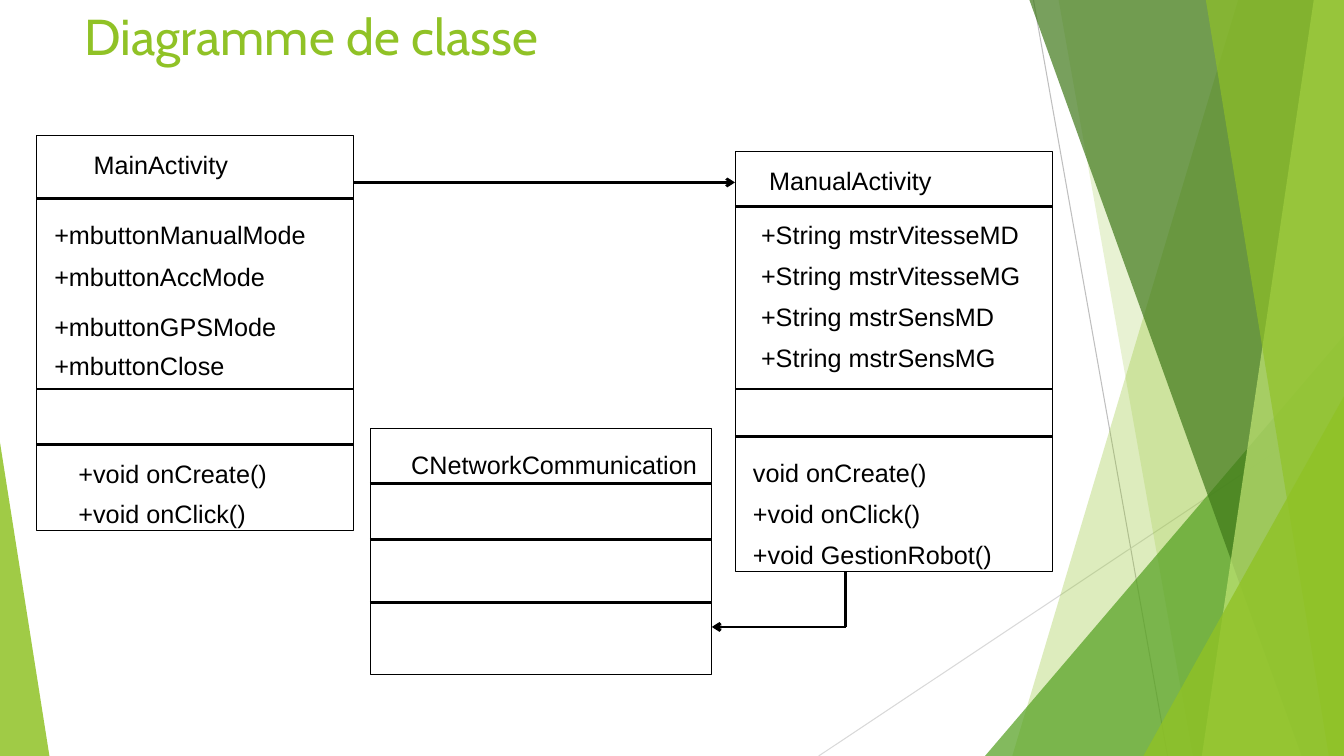
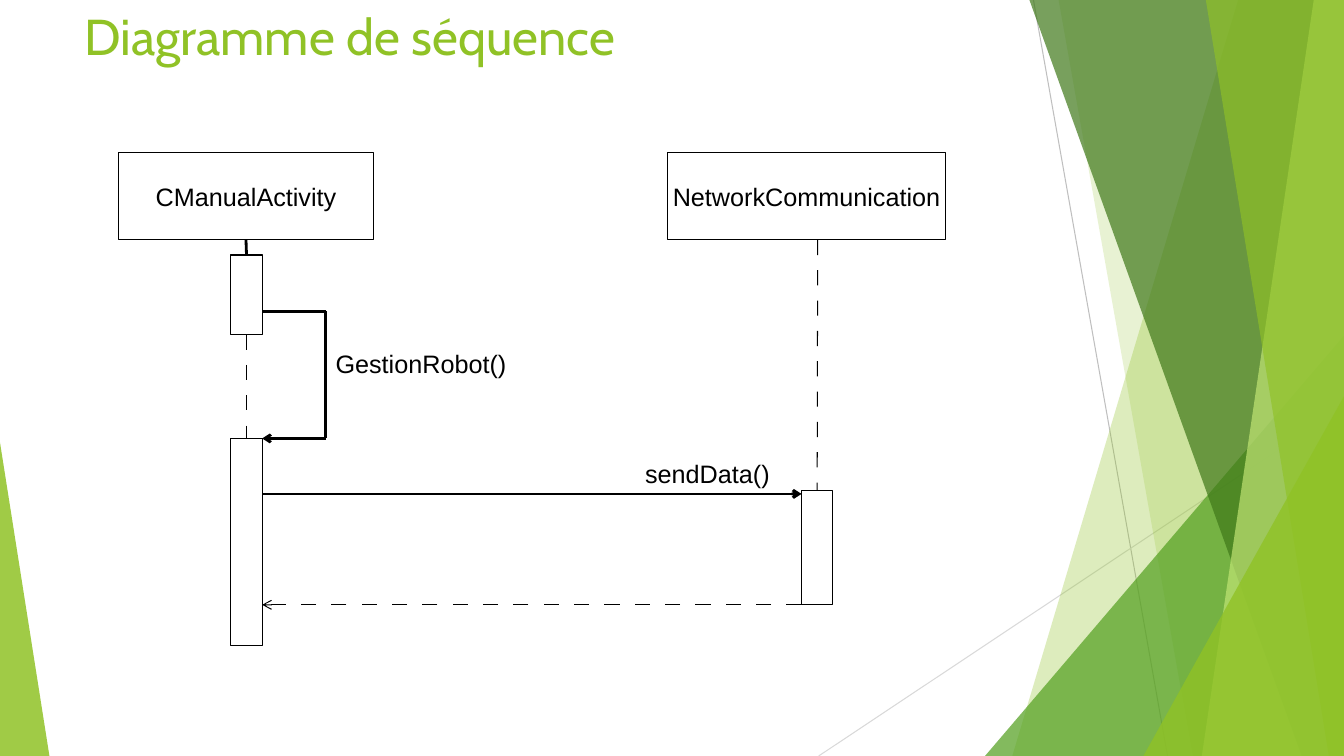
from lxml.etree import SubElement
from pptx import Presentation
from pptx.dml.color import RGBColor
from pptx.enum.shapes import MSO_CONNECTOR as Link, MSO_SHAPE as Shape
from pptx.enum.text import MSO_ANCHOR as Anchor, PP_ALIGN as Align
from pptx.oxml.ns import qn
from pptx.util import Inches, Pt

WIDTH, HEIGHT = 13.33, 7.5
GREEN, BLACK, WHITE = "90C226", "000000", "FFFFFF"
BAR_WIDTH = 0.31

RAYS = [((10.25, 0), (11.58, HEIGHT), "BFBFBF"),
        ((WIDTH, 4.03), (8.12, HEIGHT), "D9D9D9")]
FACETS = [("band", (12.28, 10.04), GREEN, 30),
          ("band", (10.5, 11.83), GREEN, 20),
          ("triangle", (9.77, 3.33, 3.56, 4.17, 1), "54A021", 72),
          ("band", (10.21, 12.91), "3F7819", 70),
          ("band", (13.03, 11.92), "C0E474", 70),
          ("band", (11.96, 13.18), GREEN, 65),
          ("triangle", (11.34, 3.93, 1.99, 3.57, 1), GREEN, 80),
          ("triangle", (0, 4.39, 0.49, 3.11, 0), GREEN, 85)]


def color(value):
    """Turn a hex string into a colour."""
    return RGBColor.from_string(value)


def add_text(page, box, lines, gaps=(), size=18, font="Arial", ink=BLACK):
    """Write lines in a box, with a gap in points before each later line."""
    frame = page.shapes.add_textbox(*map(Inches, box)).text_frame
    frame.word_wrap = True
    frame.text = "\n".join(lines)
    for para, gap in zip(frame.paragraphs, (None, *gaps)):
        if gap:
            para.space_before = Pt(gap)
        style(para, size, font, ink)


def style(para, size=18, font="Arial", ink=BLACK):
    """Format the runs of a paragraph."""
    for span in para.runs:
        span.font.size, span.font.name = Pt(size), font
        span.font.color.rgb = color(ink)


def add_line(page, start, end, ink=BLACK, width=0, dashed=False, arrow=False):
    """Draw a straight line, dashed or ending in an arrow if asked."""
    line = page.shapes.add_connector(Link.STRAIGHT, *map(Inches, (*start, *end)))
    line.line.color.rgb = color(ink)
    line.line.width = Pt(0.75 if dashed else width)
    outline = line.line.fill and line.element.spPr.find(qn("a:ln"))
    if dashed:
        dashes = SubElement(outline, qn("a:custDash"))
        SubElement(dashes, qn("a:ds"), d="1470000", sp="1470000")
    if arrow:
        SubElement(outline, qn("a:tailEnd"), type="arrow")
    SubElement(line.element.spPr, qn("a:effectLst"))
    return line


def add_route(page, *points):
    """Draw a bent line through points, with an arrow at its end."""
    last = len(points) - 2
    for index, (start, end) in enumerate(zip(points, points[1:])):
        add_line(page, start, end, arrow=index == last)


def add_rect(page, box, fill=None, label=""):
    """Draw an outlined rectangle with an optional centred label."""
    rect = page.shapes.add_shape(Shape.RECTANGLE, *map(Inches, box))
    rect.shadow.inherit = False
    rect.line.color.rgb = color(BLACK)
    rect.line.width = 0
    if fill:
        rect.fill.solid()
        rect.fill.fore_color.rgb = color(fill)
    else:
        rect.fill.background()
    if label:
        frame = rect.text_frame
        frame.margin_left = frame.margin_right = Inches(0.02)
        frame.vertical_anchor = Anchor.MIDDLE
        frame.text = label
        frame.paragraphs[0].alignment = Align.CENTER
        style(frame.paragraphs[0])
    return rect


def add_facet(page, kind, layout, fill, opacity):
    """Draw one translucent facet of the backdrop."""
    if kind == "band":
        top, bottom = layout
        builder = page.shapes.build_freeform(Inches(top), 0)
        corners = [(WIDTH, 0), (WIDTH, HEIGHT), (bottom, HEIGHT)]
        builder.add_line_segments([tuple(map(Inches, corner)) for corner in corners])
        facet = builder.convert_to_shape()
    else:
        *box, apex = layout
        facet = page.shapes.add_shape(Shape.ISOSCELES_TRIANGLE, *map(Inches, box))
        facet.adjustments[0] = apex
    facet.shadow.inherit = False
    facet.fill.solid()
    facet.fill.fore_color.rgb = color(fill)
    facet.line.fill.background()
    tint = facet.element.spPr.find(qn("a:solidFill")).find(qn("a:srgbClr"))
    SubElement(tint, qn("a:alpha"), val=str(opacity * 1000))


def add_page(deck, title):
    """Add a slide with the shared backdrop and title."""
    page = deck.slides.add_slide(deck.slide_layouts[6])
    for start, end, ink in RAYS:
        add_line(page, start, end, ink, 0.75)
    for facet in FACETS:
        add_facet(page, *facet)
    add_text(page, (0.74, 0, 9.4, 1.44), [title], size=36, font="Cabin", ink=GREEN)
    return page


def add_class(page, box, dividers, texts):
    """Draw a class box; dividers and texts are offset from its corner."""
    left, top, width, _ = box
    add_rect(page, box)
    for offset in dividers:
        add_line(page, (left, top + offset), (left + width, top + offset))
    for across, down, lines, gaps in texts:
        area = (left + across, top + down, width - across + 0.07, 0.39 * len(lines))
        add_text(page, area, lines, gaps)


def class_slide(deck):
    """Build the class diagram."""
    page = add_page(deck, "Diagramme de classe")
    add_class(page, (0.36, 1.34, 3.15, 3.92), (0.63, 2.52, 3.07), [
        (0.47, 0.09, ["MainActivity"], ()),
        (0.08, 0.79, ["+mbuttonManualMode", "+mbuttonAccMode",
                      "+mbuttonGPSMode", "+mbuttonClose"], (8, 14, 6.5)),
        (0.32, 3.16, ["+void onCreate()", "+void onClick()"], (6.5,))])
    add_class(page, (7.29, 1.5, 3.15, 4.17), (0.55, 2.36, 2.83), [
        (0.24, 0.09, ["ManualActivity"], ()),
        (0.16, 0.63, ["+String mstrVitesseMD", "+String mstrVitesseMG",
                      "+String mstrSensMD", "+String mstrSensMG"], (7.6,) * 3),
        (0.08, 2.99, ["void onCreate()", "+void onClick()",
                      "+void GestionRobot()"], (7.6,) * 2)])
    add_class(page, (3.67, 4.25, 3.39, 2.44), (0.55, 1.1, 1.73), [
        (0.31, 0.16, ["CNetworkCommunication"], ())])
    add_route(page, (3.51, 1.81), (7.29, 1.81))
    add_route(page, (8.39, 5.67), (8.39, 6.22), (7.06, 6.22))


def sequence_slide(deck):
    """Build the sequence diagram."""
    page = add_page(deck, "Diagramme de séquence")
    caller = add_rect(page, (1.18, 1.51, 2.52, 0.87), WHITE, "CManualActivity")
    add_rect(page, (6.62, 1.51, 2.76, 0.87), WHITE, "NetworkCommunication")
    first, second, reply = [
        add_rect(page, (left, top, BAR_WIDTH, height), WHITE)
        for left, top, height in ((2.29, 2.53, 0.79), (2.29, 4.35, 2.05), (7.95, 4.87, 1.13))]
    for upper, lower, dashed in ((caller, first, False), (first, second, True)):
        lifeline = add_line(page, (2.44, 2.38), (2.44, 2.53), dashed=dashed)
        lifeline.begin_connect(upper, 2)
        lifeline.end_connect(lower, 0)
    lifeline = add_line(page, (8.11, 2.38), (8.11, 4.87), dashed=True)
    lifeline.end_connect(reply, 0)
    add_route(page, (2.6, 3.09), (3.23, 3.09), (3.23, 4.35), (2.6, 4.35))
    add_text(page, (3.23, 3.41, 1.97, 0.38), ["GestionRobot()"])
    add_route(page, (2.6, 4.9), (7.95, 4.9))
    add_text(page, (6.3, 4.5, 1.5, 0.38), ["sendData()"])
    add_line(page, (7.95, 6), (2.6, 6), dashed=True, arrow=True)


def main():
    """Build and save the deck."""
    deck = Presentation()
    deck.slide_width, deck.slide_height = Inches(WIDTH), Inches(HEIGHT)
    class_slide(deck)
    sequence_slide(deck)
    deck.save("out.pptx")


if __name__ == "__main__":
    main()
